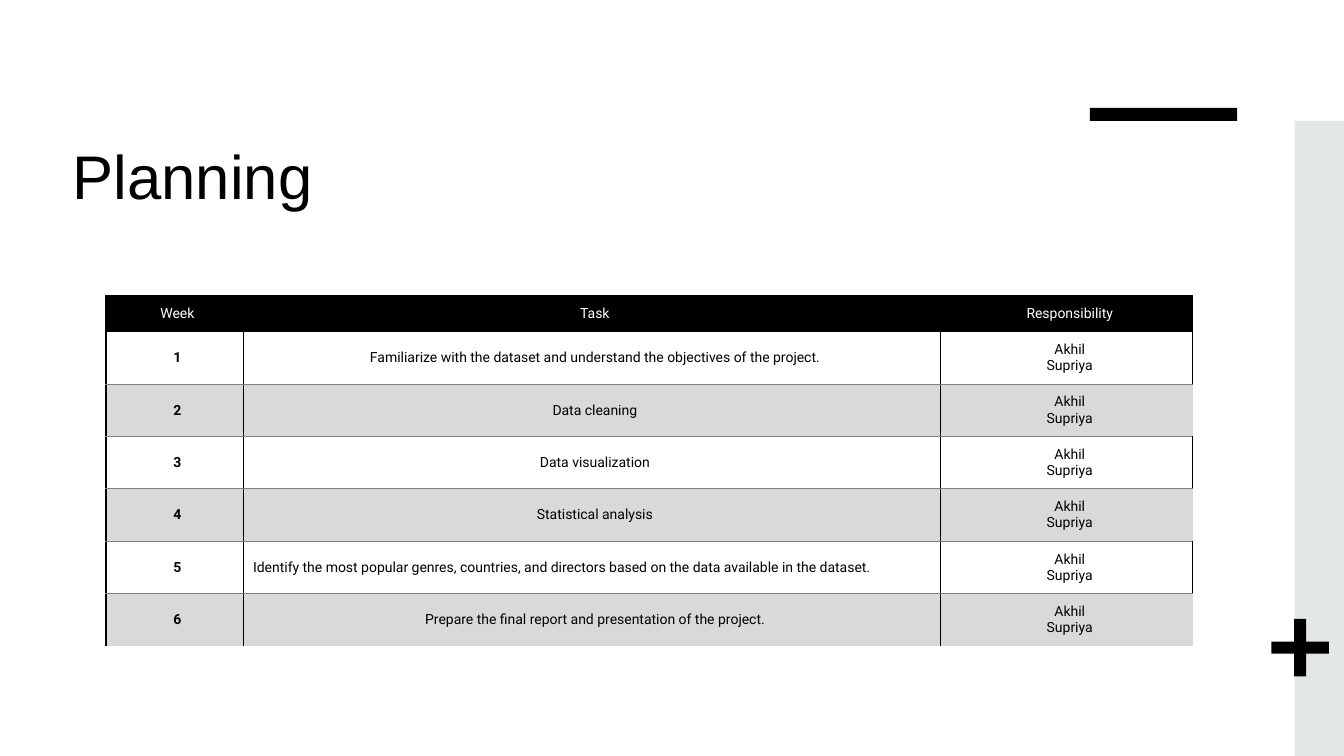
from lxml import etree
from pptx import Presentation
from pptx import util as u
from pptx.dml.color import RGBColor
from pptx.enum import shapes, text
from pptx.oxml.ns import qn

WIDTH, HEIGHT = 13.33, 7.5
COLOURS = {"ink": "000000", "paper": "FFFFFF", "band": "D9D9D9",
           "rule": "808080", "side": "E2E8E7"}
NO_STYLE = "{2D5ABB26-0587-4C30-8999-92F81FD0307C}"
COLUMNS = [1.36, 6.92, 2.5]
HEADER_HEIGHT, ROW_HEIGHT = 0.35, 0.52
HEADINGS = ["Week", "Task", "Responsibility"]
TASKS = [
    "Familiarize with the dataset and understand the objectives of the project.",
    "Data cleaning",
    "Data visualization",
    "Statistical analysis",
    "Identify the most popular genres, countries, and directors based on the data "
    "available in the dataset.",
    "Prepare the final report and presentation of the project.",
]
JUSTIFIED_TASK = 5
TEAM = ["Akhil", "Supriya"]


def colour(name):
    return RGBColor.from_string(COLOURS[name])


def add_span(para, words, size, font, ink, bold=False):
    span = para.add_run()
    span.text = words
    span.font.size = u.Pt(size)
    span.font.name = font
    span.font.bold = bold
    span.font.color.rgb = colour(ink)


def add_block(page, kind, box, fill):
    block = page.shapes.add_shape(kind, *map(u.Inches, box))
    block.shadow.inherit = False
    block.fill.solid()
    block.fill.fore_color.rgb = colour(fill)
    block.line.fill.background()
    return block


def add_title(page, box):
    title = page.shapes.title
    title.left, title.top, title.width, title.height = map(u.Inches, box)
    frame = title.text_frame
    frame.word_wrap = True
    frame.auto_size = text.MSO_AUTO_SIZE.NONE
    frame.vertical_anchor = text.MSO_ANCHOR.TOP
    para = frame.paragraphs[0]
    para.alignment = text.PP_ALIGN.LEFT
    add_span(para, "Planning", 44, "Arial", "ink")


def add_decoration(page, box):
    left, top, width, height = box
    rectangle = shapes.MSO_SHAPE.RECTANGLE
    # Side band, with a bar and a plus sign placed around it
    add_block(page, rectangle, box, "side")
    add_block(page, rectangle, (left - 2.03, top - 0.13, 1.46, 0.13), "ink")
    plus = add_block(page, shapes.MSO_SHAPE.CROSS,
                     (left - 0.23, top + 4.94, 0.57, 0.57), "ink")
    plus.adjustments[0] = 0.395


def add_border(cell, side, name, points):
    line = etree.SubElement(cell._tc.get_or_add_tcPr(), qn("a:ln" + side),
                            w=str(u.Pt(points)))
    fill = etree.SubElement(line, qn("a:solidFill"))
    etree.SubElement(fill, qn("a:srgbClr"), val=COLOURS[name])


def format_cell(cell, row, column):
    cell.vertical_anchor = text.MSO_ANCHOR.MIDDLE
    cell.margin_left, cell.margin_right = u.Inches(0.1), u.Inches(0.04)
    cell.margin_top = cell.margin_bottom = u.Inches(0.07)
    banded = row > 0 and row % 2 == 0
    last = column == len(COLUMNS) - 1

    # Borders come before the fill in the cell's properties
    add_border(cell, "L", "ink", 0.75 if column else 1.5)
    if not (banded and last):
        add_border(cell, "R", "ink", 0.75)
    if row == 0:
        add_border(cell, "T", "ink", 1.5)
    elif banded:
        add_border(cell, "T", "rule", 0.5)

    if row == 0 or banded:
        cell.fill.solid()
        cell.fill.fore_color.rgb = colour("band" if banded else "ink")
    else:
        cell.fill.background()


def fill_cell(cell, lines, row, column):
    frame = cell.text_frame
    for index, words in enumerate(lines):
        para = frame.add_paragraph() if index else frame.paragraphs[0]
        justified = row == JUSTIFIED_TASK and column == 1
        para.alignment = text.PP_ALIGN.JUSTIFY if justified else text.PP_ALIGN.CENTER
        add_span(para, words, 10, "Roboto", "ink" if row else "paper",
                 bold=row > 0 and column == 0)


def add_plan(page, left, top):
    rows = [[[heading] for heading in HEADINGS]]
    rows += [[[str(week)], [task], TEAM] for week, task in enumerate(TASKS, 1)]
    heights = [HEADER_HEIGHT] + [ROW_HEIGHT] * len(TASKS)
    box = (left, top, sum(COLUMNS), sum(heights))
    table = page.shapes.add_table(len(rows), len(COLUMNS),
                                  *map(u.Inches, box)).table
    table.horz_banding = False
    table._tbl.tblPr.find(qn("a:tableStyleId")).text = NO_STYLE
    for column, width in zip(table.columns, COLUMNS):
        column.width = u.Inches(width)
    for row, height in zip(table.rows, heights):
        row.height = u.Inches(height)
    for r, row in enumerate(rows):
        for c, lines in enumerate(row):
            format_cell(table.cell(r, c), r, c)
            fill_cell(table.cell(r, c), lines, r, c)


def main():
    deck = Presentation()
    deck.slide_width, deck.slide_height = u.Inches(WIDTH), u.Inches(HEIGHT)
    page = deck.slides.add_slide(deck.slide_layouts[5])
    page.background.fill.solid()
    page.background.fill.fore_color.rgb = colour("paper")
    add_title(page, (0.62, 1.32, 9.04, 1.58))
    add_decoration(page, (WIDTH - 0.49, 1.2, 0.49, HEIGHT - 1.2))
    add_plan(page, 1.05, 2.94)
    deck.save("out.pptx")


if __name__ == "__main__":
    main()
